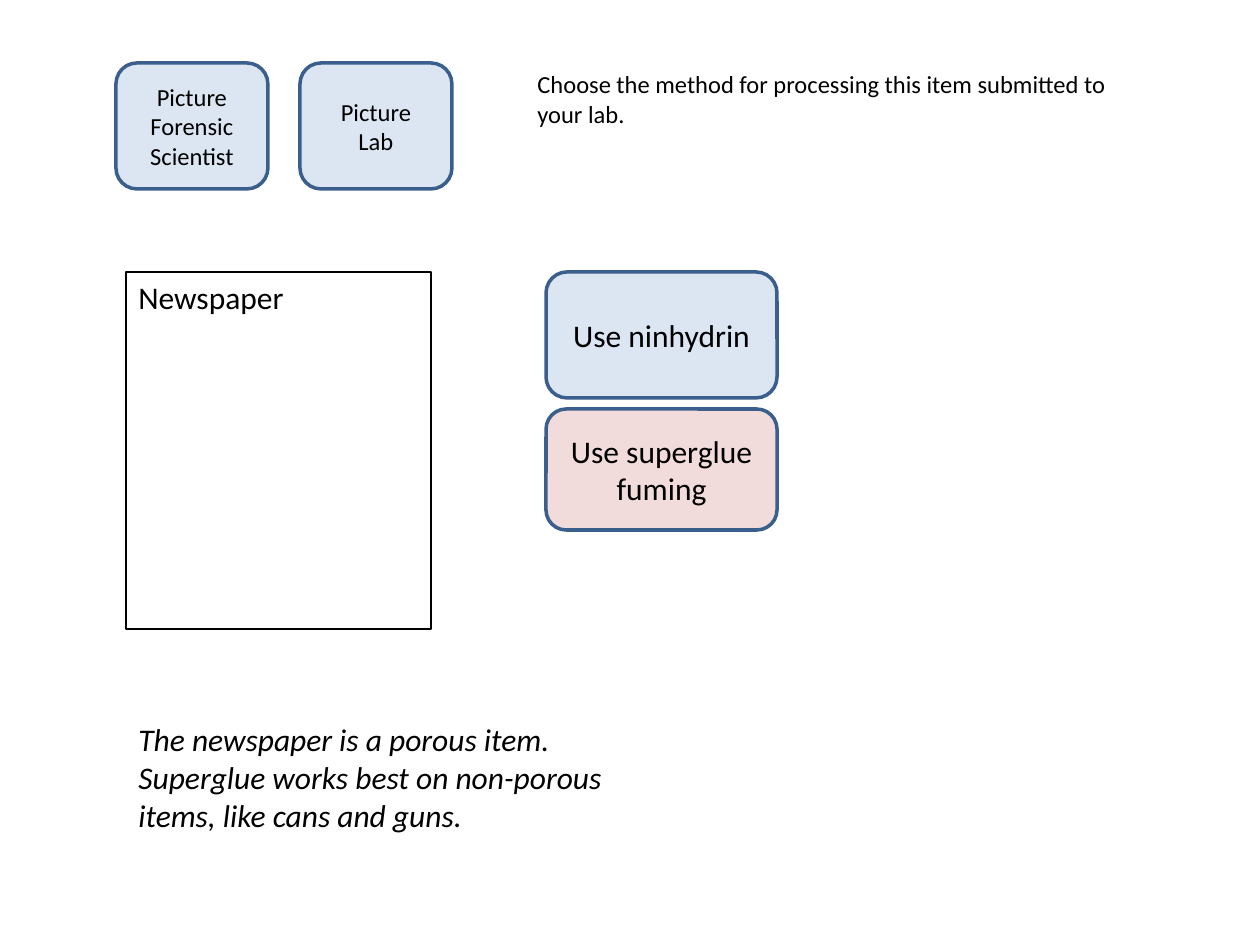
from dataclasses import dataclass

from pptx import Presentation
from pptx.dml.color import RGBColor as RGB
from pptx.enum.shapes import MSO_SHAPE as Shape
from pptx.enum.text import MSO_ANCHOR as Anchor, PP_ALIGN as Align
from pptx.util import Pt

PX = 914400 / 126  # EMU per pixel


@dataclass(frozen=True)
class Theme:
    font: str = "Calibri"
    text: RGB = RGB(0x00, 0x00, 0x00)
    blue: RGB = RGB(0xDC, 0xE6, 0xF2)
    pink: RGB = RGB(0xF2, 0xDC, 0xDB)
    outline: RGB = RGB(0x3A, 0x5F, 0x8C)
    small: int = 14
    large: int = 18


theme = Theme()


def emu(*lengths):
    return [round(length * PX) for length in lengths]


def add_text(text, box, kind=None, fill=None, line=None, line_width=2,
             size=theme.large, italic=False, align=Align.LEFT, anchor=Anchor.TOP):
    """Add text in a plain box, or in a preset shape when kind is given."""
    if kind is None:
        shape = slide.shapes.add_textbox(*emu(*box))
    else:
        shape = slide.shapes.add_shape(kind, *emu(*box))
        shape.shadow.inherit = False
        if fill is None:
            shape.fill.background()
        else:
            shape.fill.solid()
            shape.fill.fore_color.rgb = fill
        shape.line.color.rgb = line
        shape.line.width = Pt(line_width)
    frame = shape.text_frame
    frame.word_wrap = True
    frame.vertical_anchor = anchor
    frame.text = text
    for paragraph in frame.paragraphs:
        paragraph.alignment = align
        font = paragraph.font
        font.name, font.size, font.italic = theme.font, Pt(size), italic
        font.color.rgb = theme.text


presentation = Presentation()
presentation.slide_width, presentation.slide_height = emu(1260, 945)
slide = presentation.slides.add_slide(presentation.slide_layouts[6])

button = dict(kind=Shape.ROUNDED_RECTANGLE, line=theme.outline,
              align=Align.CENTER, anchor=Anchor.MIDDLE)

# Labels for the two pictures
for column, label in enumerate(["Picture\nForensic Scientist", "Picture\nLab"]):
    add_text(label, (116 + 184 * column, 63, 152, 126), fill=theme.blue,
             size=theme.small, **button)

# Instruction
add_text("Choose the method for processing this item submitted to your lab.",
         (525, 63, 609, 72), size=theme.small)

# Submitted item
add_text("Newspaper", (126, 272, 305, 357), kind=Shape.RECTANGLE,
         line=theme.text, line_width=1)

# Answer buttons
for label, top, height, fill in [
    ("Use ninhydrin", 272, 126, theme.blue),
    ("Use superglue fuming", 409, 121, theme.pink),
]:
    add_text(label, (546, top, 231, height), fill=fill, **button)

# Feedback
add_text("The newspaper is a porous item. Superglue works best on non-porous "
         "items, like cans and guns.", (126, 714, 546, 127), italic=True)

presentation.save("out.pptx")
